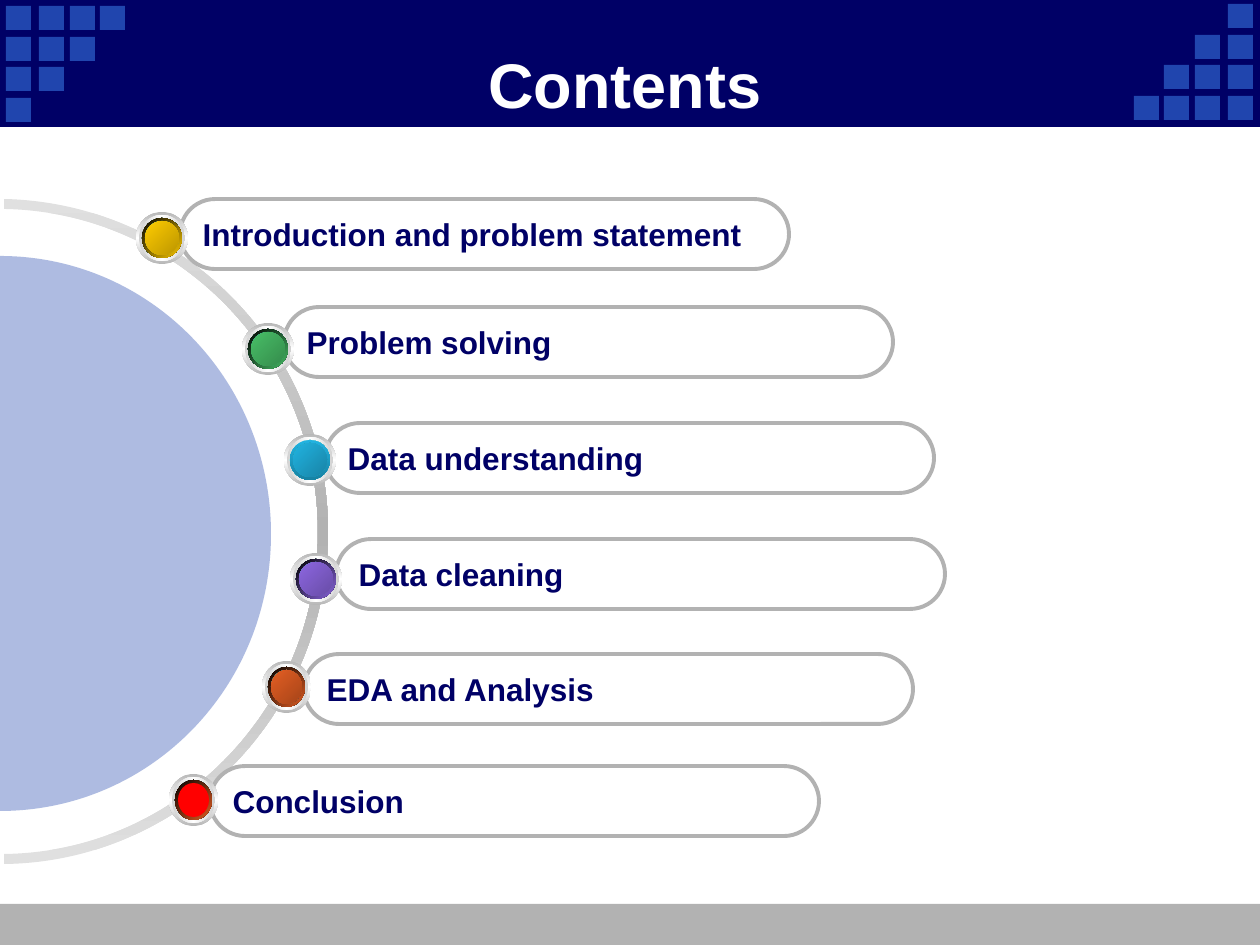
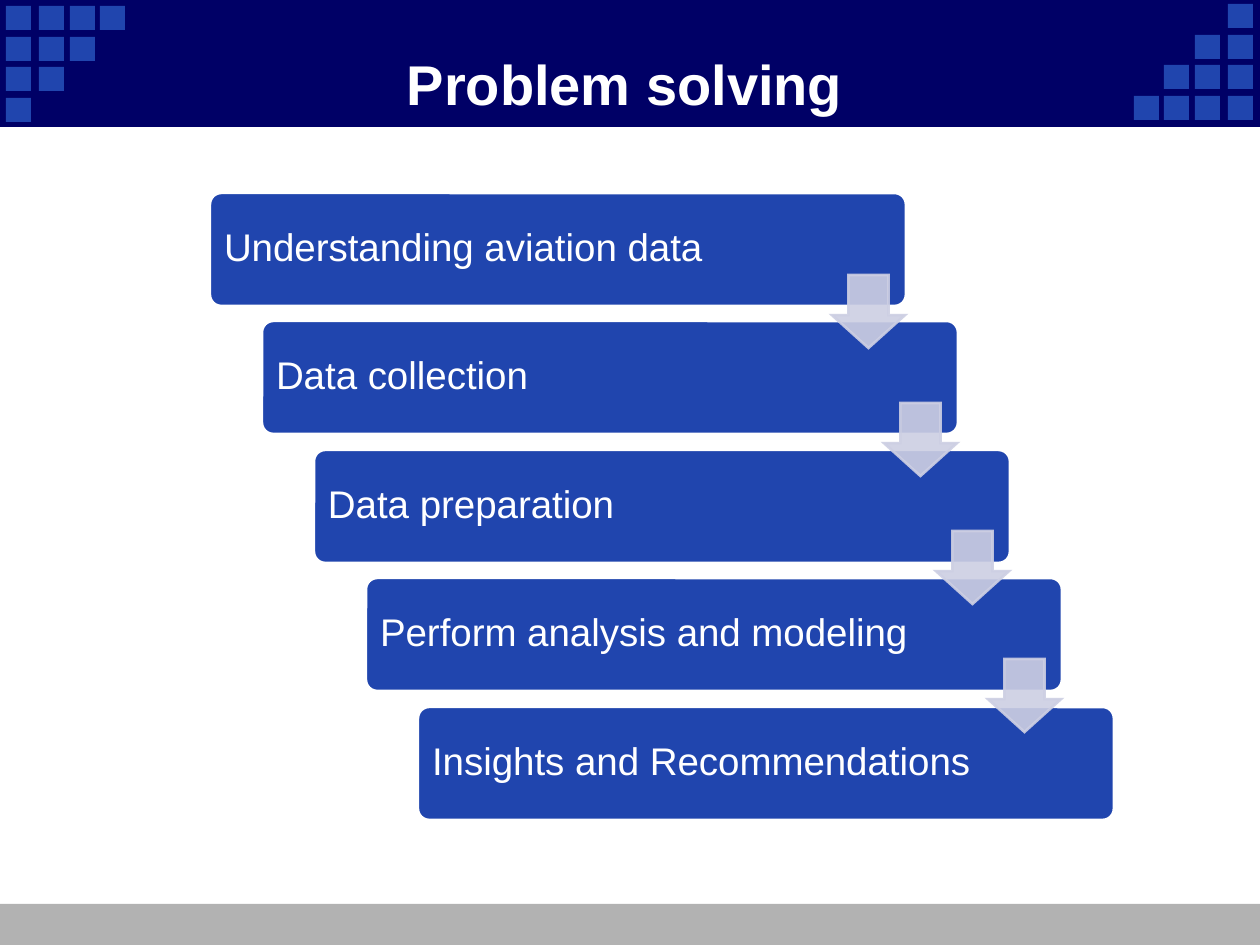
from lxml.etree import SubElement
from pptx import Presentation
from pptx.dml.color import RGBColor
from pptx.enum.shapes import MSO_SHAPE as Shape
from pptx.enum.text import MSO_ANCHOR as Anchor, PP_ALIGN as Align
from pptx.oxml.ns import qn
from pptx.util import Emu, Pt

EMU_PER_PX = 914400 / 126
NAVY, BLUE, GRAY, WHITE, BLACK = "000066", "2045AE", "B2B2B2", "FFFFFF", "000000"
LAVENDER, SILVER, TEAL = "CDCFE3", "E0E0E0", "3DC5C5"
FONT = "Arial"


def px(*lengths):
    return [Emu(round(length * EMU_PER_PX)) for length in lengths]


def paint(shape, fill=None, line=None, width=0.75, angle=0, alpha=100):
    """Fill with a hex colour or a list of evenly spaced gradient stops.

    A stop is a hex colour, or a pair of hex colour and shade percentage.
    """
    shape.shadow.inherit = False
    properties = shape._element.spPr
    if fill is None:
        shape.fill.background()
    elif isinstance(fill, str):
        shape.fill.solid()
        shape.fill.fore_color.rgb = RGBColor.from_string(fill)
    else:
        shape.fill.gradient()
        gradient = properties.find(qn("a:gradFill"))
        stops = gradient.find(qn("a:gsLst"))
        stops.clear()
        for index, stop in enumerate(fill):
            hex_color, shade = (stop, 100) if isinstance(stop, str) else stop
            position = 100000 * index // (len(fill) - 1)
            element = SubElement(stops, qn("a:gs"), pos=str(position))
            color = SubElement(element, qn("a:srgbClr"), val=hex_color)
            if shade < 100:
                SubElement(color, qn("a:shade"), val=str(shade * 1000))
        gradient.find(qn("a:lin")).set("ang", str(angle * 60000))
    if line is None:
        shape.line.fill.background()
    else:
        shape.line.color.rgb = RGBColor.from_string(line)
        shape.line.width = Pt(width)
    if alpha < 100:
        for color in properties.iter(qn("a:srgbClr")):
            SubElement(color, qn("a:alpha"), val=str(alpha * 1000))


presentation = Presentation()
presentation.slide_width, presentation.slide_height = px(1260, 945)

# Shared frame: title band, footer, corner squares and title
square_columns = [6, 39, 70, 100]
square_rows = [6, 37, 67, 98]
texts = []  # (shape, size, colour, bold, alignment)
slides = []
for title, title_size in [("Contents", 36), ("Problem solving", 32)]:
    slide = presentation.slides.add_slide(presentation.slide_layouts[6])
    slides.append(slide)
    footer = slide.shapes.add_shape(Shape.RECTANGLE, *px(0, 904, 1260, 41))
    paint(footer, GRAY)
    band = slide.shapes.add_shape(Shape.RECTANGLE, *px(0, 0, 1260, 126))
    paint(band, NAVY, NAVY)
    for row, top in enumerate(square_rows):
        for left in square_columns[:4 - row]:
            for x, y in [(left, top), (1234 - left, 102 - top)]:
                square = slide.shapes.add_shape(Shape.RECTANGLE, *px(x, y, 25, 24))
                paint(square, BLUE)
    title_box = slide.shapes.add_textbox(*px(116, 44, 1018, 78))
    title_box.text_frame.text = title
    texts.append((title_box, title_size, WHITE, True, Align.CENTER))
contents, solving = slides

# Contents: half ring and half disc, outlined by Bezier control points
ring = [(4, 209), (178, 212), (318, 355), (318, 532), (318, 708), (178, 852), (4, 854),
        (4, 864), (183, 862), (328, 713), (328, 532), (328, 350), (183, 203), (4, 199)]
half_disc = [(0, 256), (150, 256), (271, 380), (271, 534), (271, 688), (150, 811), (0, 811)]
for points, curve_starts, fill, alpha in [
    (ring, [0, 3, 7, 10], [SILVER, GRAY, SILVER], 100),
    (half_disc, [0, 3], BLUE, 36),
]:
    builder = contents.shapes.build_freeform(*px(*points[0]))
    builder.add_line_segments([px(*point) for point in points[1:]], close=True)
    outline = builder.convert_to_shape()
    segments = list(outline._element.iter(qn("a:lnTo")))
    for start in curve_starts:
        curve, *controls = segments[start:start + 3]
        curve.tag = qn("a:cubicBezTo")
        for control in controls:
            curve.append(control[0])
            control.getparent().remove(control)
    paint(outline, fill, angle=90, alpha=alpha)

# Contents: label left and top, dot left, top and width, rim and core colours
YELLOW, GREEN, CYAN, PURPLE, ORANGE = "FFCC00", "48BE67", "21B3E1", "8D67E1", "E35E23"
topics = [
    ("Introduction and problem statement", 180, 199, 136, 212, 52,
     [BLACK, YELLOW], [YELLOW, (YELLOW, 50)]),
    ("Problem solving", 284, 307, 242, 323, 52,
     [BLACK, GREEN], [GREEN, (GREEN, 50)]),
    ("Data understanding", 325, 423, 284, 434, 52,
     [CYAN, (CYAN, 48)], [CYAN, (CYAN, 50)]),
    ("Data cleaning", 336, 539, 290, 553, 52,
     [BLACK, PURPLE], [PURPLE, (PURPLE, 50)]),
    ("EDA and Analysis", 304, 654, 262, 661, 49,
     [BLACK, ORANGE], [ORANGE, (ORANGE, 50)]),
    ("Conclusion", 210, 766, 169, 774, 49,
     [BLACK, ORANGE], "FF0000"),
]
for topic, left, top, dot_left, dot_top, dot_width, rim, core in topics:
    label = contents.shapes.add_shape(Shape.ROUNDED_RECTANGLE, *px(left, top, 609, 70))
    label.adjustments[0] = 0.5
    paint(label, line=GRAY, width=2.25)
    label.text_frame.text = topic
    texts.append((label, 18, NAVY, True, Align.LEFT))
    layers = [
        (0, [(WHITE, 47), WHITE, (WHITE, 47)], 90),
        (3, [(WHITE, 64), WHITE, (WHITE, 64)], 0),
        (6, [WHITE, TEAL, WHITE], 45),
        (6, rim, 45 if rim[0] == BLACK else 90),
        (9, [(TEAL, 55), TEAL, (TEAL, 55)], 315),
        (9, core, 45),
    ]
    if core == "FF0000":
        del layers[4]
    for inset, fill, angle in layers:
        disc = contents.shapes.add_shape(
            Shape.OVAL,
            *px(dot_left + inset, dot_top + inset, dot_width - 2 * inset, 52 - 2 * inset))
        paint(disc, fill, angle=angle)

# Problem solving: staircase of steps joined by arrows
steps = [
    "Understanding aviation data",
    "Data collection",
    "Data preparation",
    "Perform analysis and modeling",
    "Insights and Recommendations",
]
for index, step in enumerate(steps):
    left, top = 210 + 52 * index, 193 + 257 * index // 2
    box = solving.shapes.add_shape(Shape.ROUNDED_RECTANGLE, *px(left, top, 696, 113))
    box.adjustments[0] = 0.1
    paint(box, BLUE, WHITE, 1.5)
    step_text = solving.shapes.add_textbox(*px(left + 3, top + 3, 562, 106))
    frame = step_text.text_frame
    frame.text = step
    frame.margin_left, frame.margin_right, frame.margin_top, frame.margin_bottom = px(11, 11, 11, 11)
    frame.paragraphs[0].line_spacing = 0.9
    texts.append((step_text, 22, WHITE, False, Align.LEFT))
for index in range(len(steps) - 1):
    arrow = solving.shapes.add_shape(
        Shape.DOWN_ARROW, *px(832 + 52 * index, 275 + 128 * index, 73, 73))
    arrow.adjustments[0] = 0.55
    arrow.adjustments[1] = 0.45
    paint(arrow, LAVENDER, LAVENDER, 1.5, alpha=90)
    SubElement(arrow._element.spPr.find(qn("a:ln")), qn("a:miter"), lim="800000")

# Text formatting
for shape, size, color, bold, alignment in texts:
    frame = shape.text_frame
    frame.word_wrap = True
    frame.vertical_anchor = Anchor.MIDDLE
    paragraph = frame.paragraphs[0]
    paragraph.alignment = alignment
    font = paragraph.runs[0].font
    font.name, font.size, font.bold = FONT, Pt(size), bold
    font.color.rgb = RGBColor.from_string(color)

presentation.save("out.pptx")
